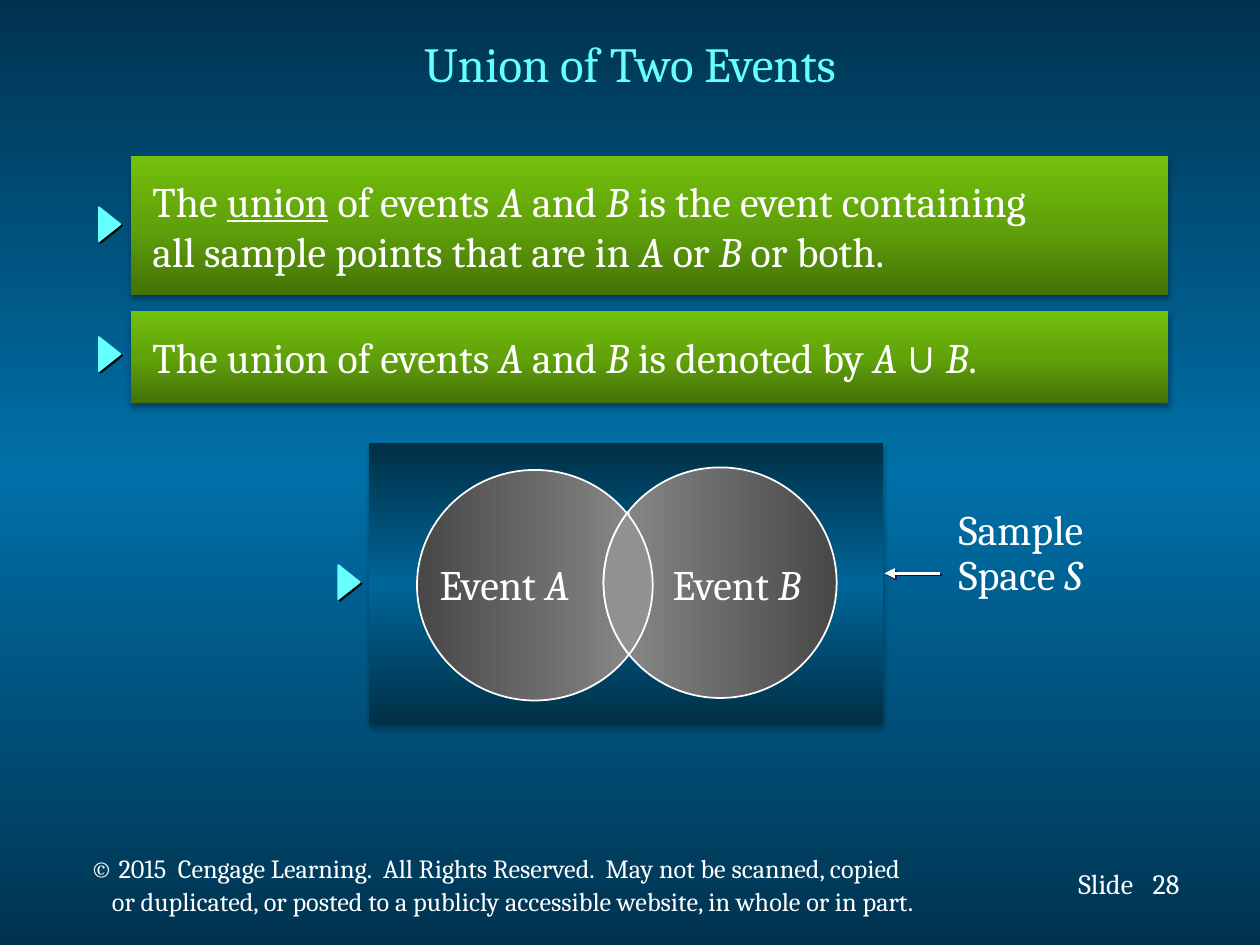
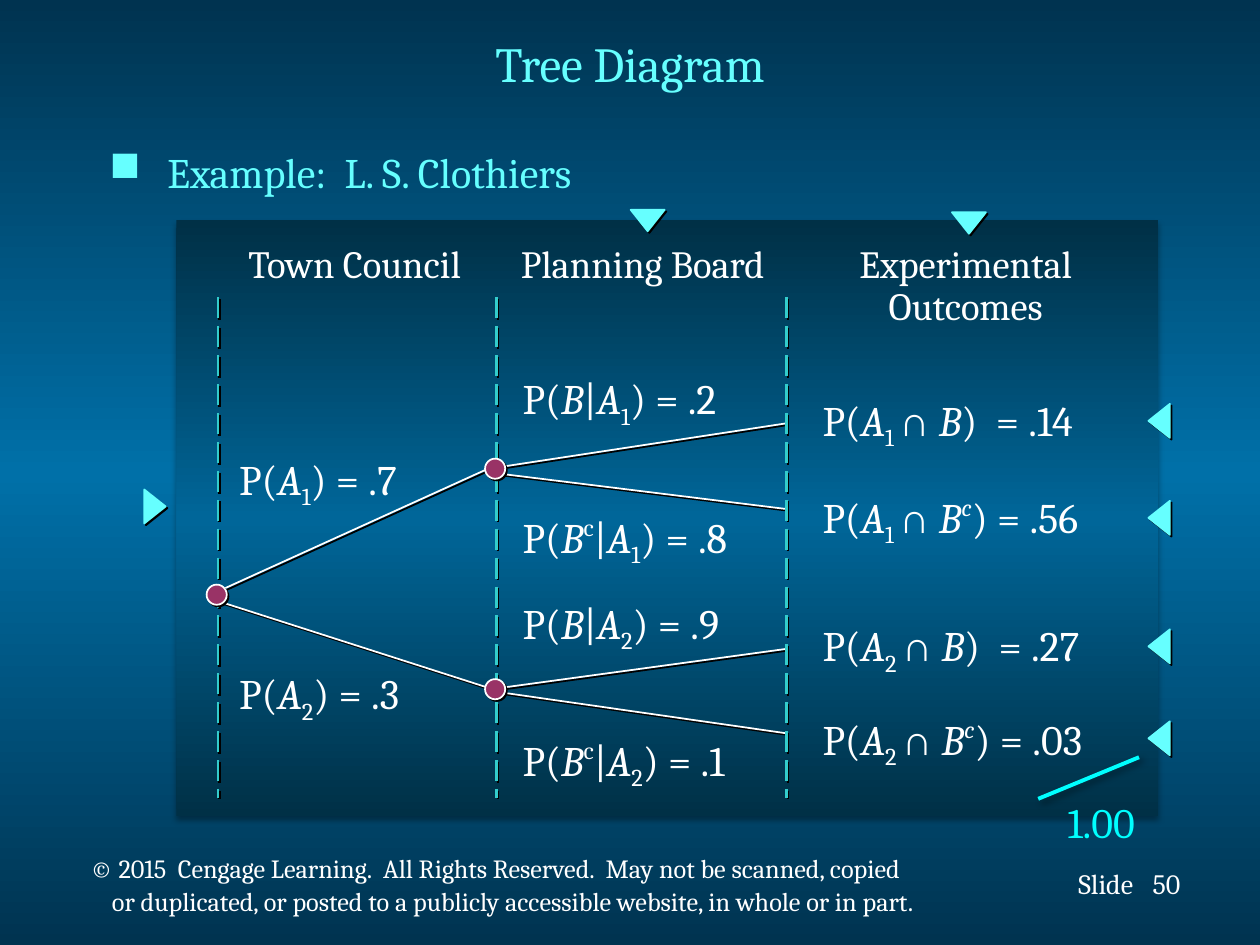
from math import cos, radians, sin

from lxml import etree
from pptx import Presentation
from pptx.dml.color import RGBColor
from pptx.enum.dml import MSO_LINE
from pptx.enum.shapes import MSO_CONNECTOR, MSO_SHAPE
from pptx.enum.text import MSO_ANCHOR, PP_ALIGN
from pptx.oxml.ns import qn
from pptx.util import Inches, Pt

RECT, OVAL, TRIANGLE = MSO_SHAPE.RECTANGLE, MSO_SHAPE.OVAL, MSO_SHAPE.ISOSCELES_TRIANGLE
STRAIGHT, LONG_DASH = MSO_CONNECTOR.STRAIGHT, MSO_LINE.LONG_DASH
LEFT, CENTER = PP_ALIGN.LEFT, PP_ALIGN.CENTER
TOP, MIDDLE = MSO_ANCHOR.TOP, MSO_ANCHOR.MIDDLE

W, H = 10, 7.5
FONT, MATH_FONT = "Cambria", "Arial"
WHITE, AQUA, CYAN, TEAL, PLUM, GRAY = "FFFFFF", "66FFFF", "00FFFF", "33CCCC", "993366", "919191"
BACKGROUND = ["003350", "0070A8", "003350"]
PANEL = ["003046", "006699", "003046"]
GREEN = ["73C00C", "61A20A", "447207"]
DARK_TO_LIGHT = ["484848", "8C8C8C"]
HARD = ("000000", 100, 0, 1.4, 45)
SOFT = ("000000", 32, 3.5, 2.2, 90)
MAROON = ("3C0023", 100, 0, 1.4, 45)
FLOAT = ("000000", 40, 4, 3, 45)

# Markup: *italic*  _subscript_  ^superscript^  ~underline~
FOOTER = [
    "© 2015  Cengage Learning.  All Rights Reserved.  May not be scanned, copied",
    "or duplicated, or posted to a publicly accessible website, in whole or in part.",
]
DEFINITIONS = [
    (1.24, 1.1, ["The ~union~ of events *A* and *B* is the event containing",
                 "all sample points that are in *A* or *B* or both."]),
    (2.47, 0.73, ["The union of events *A* and *B* is denoted by *A* ∪ *B*."]),
]
CIRCLES = [
    ("Event *A*", 3.39, (4.245, 4.645), (0.935, 0.915), DARK_TO_LIGHT),
    ("Event *B*", 5.24, (5.715, 4.625), (0.925, 0.915), DARK_TO_LIGHT[::-1]),
]
LENS_ANGLES = (37, 38)
UNION_ARROWS = [(0.87, 1.78, 90), (0.87, 2.81, 90), (2.77, 4.62, 90)]

STAGES = [
    (1.73, (1.71, 2.21), ["Town Council"]),
    (3.94, (3.85, 2.5), ["Planning Board"]),
    (6.24, (6.38, 2.57), ["Experimental", "Outcomes"]),
]
NODES = [(1.72, 4.72), (3.93, 3.72), (3.93, 5.47)]
BRANCHES = [
    ((1.76, 4.68), (3.94, 3.69)), ((1.76, 4.78), (3.91, 5.47)),
    ((4.01, 3.7), (6.24, 3.36)), ((3.97, 3.76), (6.24, 4.04)),
    ((3.97, 5.46), (6.24, 5.15)), ((4.01, 5.5), (6.24, 5.82)),
]
PROBABILITIES = [
    (1.8, 1.7, [(3.55, "P(*A*_1_) = .7"), (5.25, "P(*A*_2_) = .3")]),
    (4.05, 2.1, [(2.91, "P(*B*|*A*_1_) = .2"), (4.01, "P(*B*^c^|*A*_1_) = .8"),
                 (4.69, "P(*B*|*A*_2_) = .9"), (5.78, "P(*B*^c^|*A*_2_) = .1")]),
    (6.43, 2.47, [(3.08, "P(*A*_1 _∩ *B*)  = .14"), (3.85, "P(*A*_1 _∩ *B^c^*) = .56"),
                  (4.87, "P(*A*_2 _∩ *B*)  = .27"), (5.61, "P(*A*_2 _∩ *B^c^*) = .03")]),
]
TREE_ARROWS = [(1.23, 4.02, 90), (5.14, 1.75, 180), (7.69, 1.77, 180)]
TREE_ARROWS += [(9.2, y, 270) for y in (3.34, 4.11, 5.13, 5.86)]


def color(value):
    return RGBColor.from_string(value)


def sub(parent, tag, **attrs):
    return etree.SubElement(parent, qn(tag), {k: str(v) for k, v in attrs.items()})


def gradient(fill, element, stops, angle):
    fill.gradient()
    grad = element.find(".//" + qn("a:gradFill"))
    grad.find(qn("a:lin")).set("ang", str(angle * 60000))
    stop_list = grad.find(qn("a:gsLst"))
    for stop in list(stop_list):
        stop_list.remove(stop)
    for i, value in enumerate(stops):
        gs = sub(stop_list, "a:gs", pos=round(100000 * i / (len(stops) - 1)))
        sub(gs, "a:srgbClr", val=value)


def add_shadow(effects, shadow):
    value, alpha, blur, dist, angle = shadow
    outer = sub(effects, "a:outerShdw", blurRad=Pt(blur), dist=Pt(dist),
                dir=angle * 60000, algn="ctr", rotWithShape=0)
    sub(sub(outer, "a:srgbClr", val=value), "a:alpha", val=alpha * 1000)


def paint(sp, fill, line=None, shadow=None, angle=90):
    if isinstance(fill, list):
        gradient(sp.fill, sp._element, fill, angle)
    else:
        sp.fill.solid()
        sp.fill.fore_color.rgb = color(fill)
    if line:
        sp.line.color.rgb = color(line)
        sp.line.width = Pt(1)
    else:
        sp.line.fill.background()
    sp.shadow.inherit = False
    if shadow:
        add_shadow(sp._element.spPr.find(qn("a:effectLst")), shadow)
    return sp


def shape(s, kind, x, y, w, h, fill, **look):
    sp = s.shapes.add_shape(kind, Inches(x), Inches(y), Inches(w), Inches(h))
    return paint(sp, fill, **look)


def line(s, start, end, value=WHITE, width=1, shadow=HARD, dash=None, arrow=False):
    cn = s.shapes.add_connector(STRAIGHT, *(Inches(v) for v in start + end))
    cn.line.color.rgb = color(value)
    cn.line.width = Pt(width)
    if dash:
        cn.line.dash_style = dash
    if arrow:
        sub(cn.line._ln, "a:headEnd", type="triangle")
    add_shadow(sub(cn._element.spPr, "a:effectLst"), shadow)


def parse_markup(marked):
    pieces, active, buffer = [], set(), ""
    for ch in marked + "\0":
        if ch in "*_^~∪∩\0":
            if buffer:
                pieces.append((buffer, frozenset(active)))
            buffer = ""
            if ch in "∪∩":
                pieces.append((ch, frozenset("∪")))
            else:
                active ^= {ch}
        else:
            buffer += ch
    return pieces


def write(tf, lines, size=24, value=WHITE, align=LEFT, anchor=TOP, spacing=None, shadow=False):
    tf.word_wrap = True
    tf.vertical_anchor = anchor
    for i, marked in enumerate(lines):
        p = tf.paragraphs[0] if i == 0 else tf.add_paragraph()
        p.alignment = align
        if spacing:
            p.line_spacing = spacing
        for words, marks in parse_markup(marked):
            r = p.add_run()
            r.text = words
            r.font.size = Pt(size)
            r.font.color.rgb = color(value)
            r.font.name = MATH_FONT if "∪" in marks else FONT
            r.font.italic = "*" in marks
            r.font.underline = "~" in marks
            rPr = r._r.get_or_add_rPr()
            if "_" in marks or "^" in marks:
                rPr.set("baseline", "-25000" if "_" in marks else "40000")
            if shadow:
                effects = etree.Element(qn("a:effectLst"))
                add_shadow(effects, HARD)
                rPr.find(qn("a:solidFill")).addnext(effects)


def text(s, x, y, w, h, lines, **look):
    tf = s.shapes.add_textbox(Inches(x), Inches(y), Inches(w), Inches(h)).text_frame
    write(tf, lines, **look)
    return tf


def pointers(s, places):
    w, h = 0.27, 0.17
    for cx, cy, turn in places:
        sp = shape(s, TRIANGLE, cx - w / 2, cy - h / 2, w, h, AQUA, line=AQUA, shadow=HARD)
        sp.rotation = turn


def new_slide(prs, title, number):
    s = prs.slides.add_slide(prs.slide_layouts[6])
    gradient(s.background.fill, s._element, BACKGROUND, 90)
    text(s, 0.75, 0.14, 8.5, 0.72, [title], size=28, value=AQUA, align=CENTER, anchor=MIDDLE)
    tf = text(s, 0.62, 6.74, 7.47, 0.6, FOOTER, size=15, spacing=Pt(16))
    second = tf.paragraphs[1]
    second.space_before = Pt(3)
    second._p.get_or_add_pPr().set("marL", str(Inches(0.17)))
    for x, label in ((8.46, "Slide"), (9.05, str(number))):
        text(s, x, 6.83, 0.75, 0.37, [label], size=16, shadow=True)
    return s


def arc(center, radii, start, end, steps=24):
    angles = [radians(start + (end - start) * i / steps) for i in range(steps + 1)]
    return [(Inches(center[0] + radii[0] * cos(a)), Inches(center[1] + radii[1] * sin(a)))
            for a in angles]


def union_slide(prs):
    s = new_slide(prs, "Union of Two Events", 28)
    for y, h, lines in DEFINITIONS:
        sp = shape(s, RECT, 1.04, y, 8.23, h, GREEN, shadow=SOFT)
        write(sp.text_frame, lines, anchor=MIDDLE)
        sp.text_frame.margin_left = Inches(0.17)
    shape(s, RECT, 2.93, 3.52, 4.08, 2.23, PANEL, shadow=SOFT)
    for _, _, (cx, cy), (rx, ry), fill in CIRCLES:
        shape(s, OVAL, cx - rx, cy - ry, 2 * rx, 2 * ry, fill, line=WHITE, angle=0)
    a, b = LENS_ANGLES
    points = arc(*CIRCLES[0][2:4], -a, a) + arc(*CIRCLES[1][2:4], 180 - b, 180 + b)
    builder = s.shapes.build_freeform(*points[0])
    builder.add_line_segments(points[1:])
    paint(builder.convert_to_shape(), GRAY, line=WHITE)
    for label, x, *_ in CIRCLES:
        text(s, x, 4.38, 1.5, 0.5, [label])
    pointers(s, UNION_ARROWS)
    text(s, 7.51, 3.99, 1.5, 0.82, ["Sample", "Space *S*"], spacing=0.9, shadow=True)
    line(s, (7.02, 4.55), (7.46, 4.55), width=1.5, shadow=MAROON, arrow=True)


def tree_slide(prs):
    s = new_slide(prs, "Tree Diagram", 50)
    tf = text(s, 0.77, 1.11, 6.4, 0.53, ["Example:  L. S. Clothiers"], value=AQUA)
    pPr = tf.paragraphs[0]._p.get_or_add_pPr()
    pPr.set("marL", str(Inches(0.46)))
    pPr.set("indent", str(-Inches(0.46)))
    sub(sub(pPr, "a:buClr"), "a:srgbClr", val=AQUA)
    sub(pPr, "a:buChar", char="■")
    shape(s, RECT, 1.4, 1.75, 7.79, 4.73, PANEL, shadow=SOFT)
    for start, end in BRANCHES:
        line(s, start, end)
    for x, w, rows in PROBABILITIES:
        for y, label in rows:
            text(s, x, y, w, 0.5, [label], shadow=True)
    for x, (left, width), heading in STAGES:
        line(s, (x, 2.36), (x, 6.33), TEAL, 1.5, dash=LONG_DASH)
        text(s, left, 1.9, width, 0.8, heading, size=22, align=CENTER, spacing=0.9)
    for cx, cy in NODES:
        shape(s, OVAL, cx - 0.08, cy - 0.08, 0.16, 0.16, PLUM, line=WHITE, shadow=HARD)
    pointers(s, TREE_ARROWS)
    line(s, (8.24, 6.34), (9.04, 6.01), CYAN, 2.25, shadow=FLOAT)
    text(s, 8.24, 6.27, 1, 0.5, ["1.00"], value=CYAN, align=CENTER)


def main():
    prs = Presentation()
    prs.slide_width, prs.slide_height = Inches(W), Inches(H)
    union_slide(prs)
    tree_slide(prs)
    prs.save("out.pptx")


if __name__ == "__main__":
    main()
